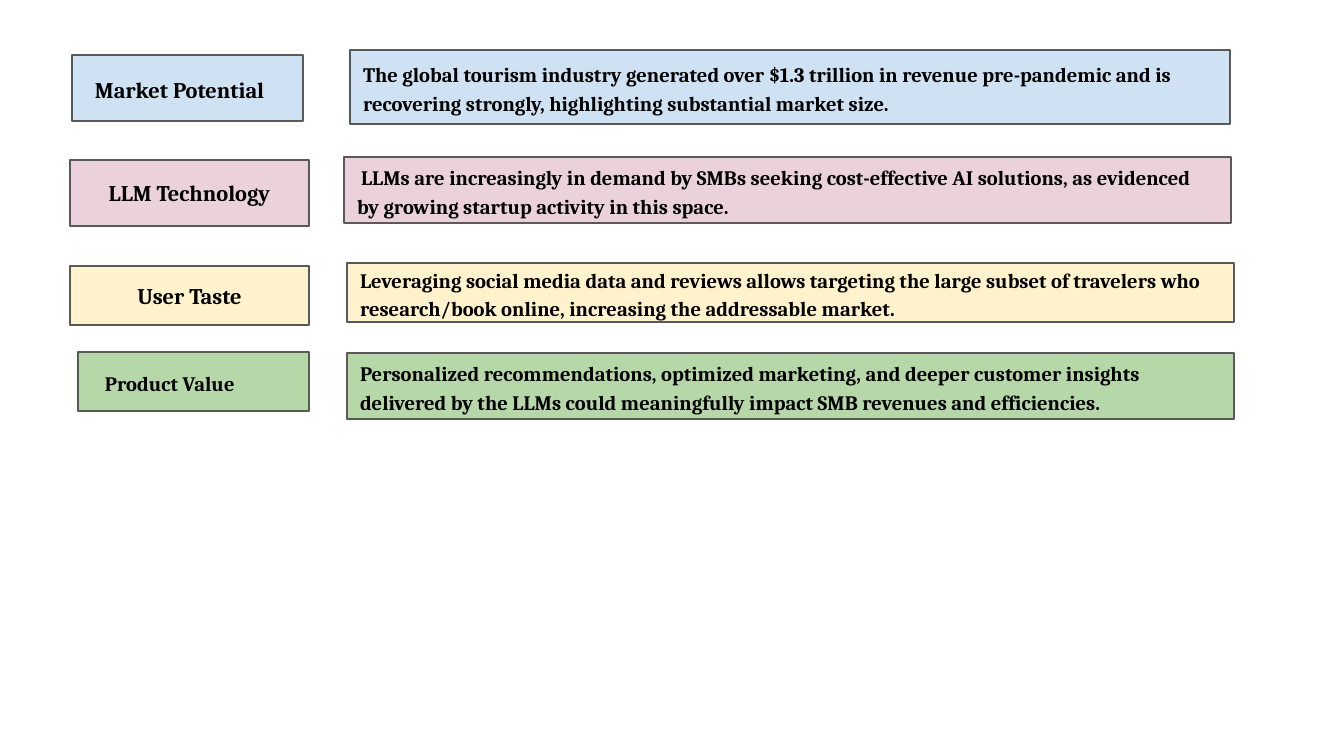
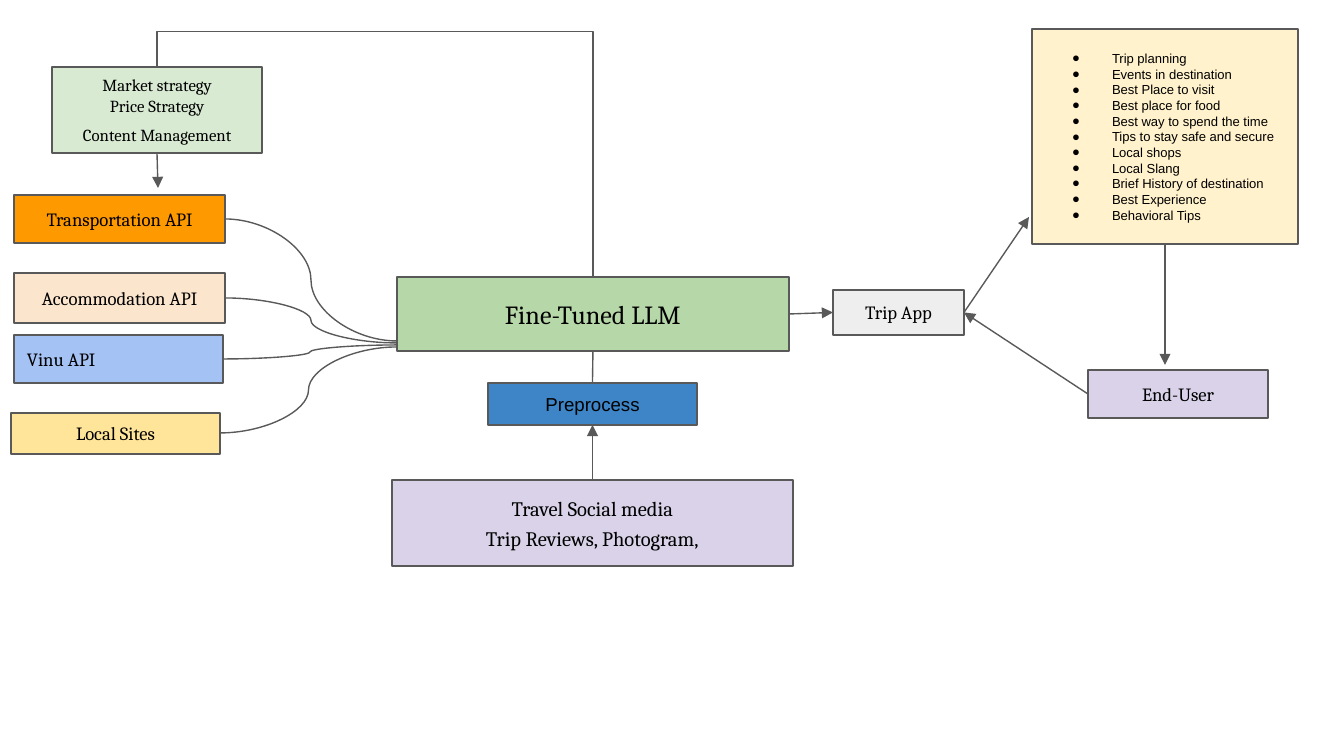
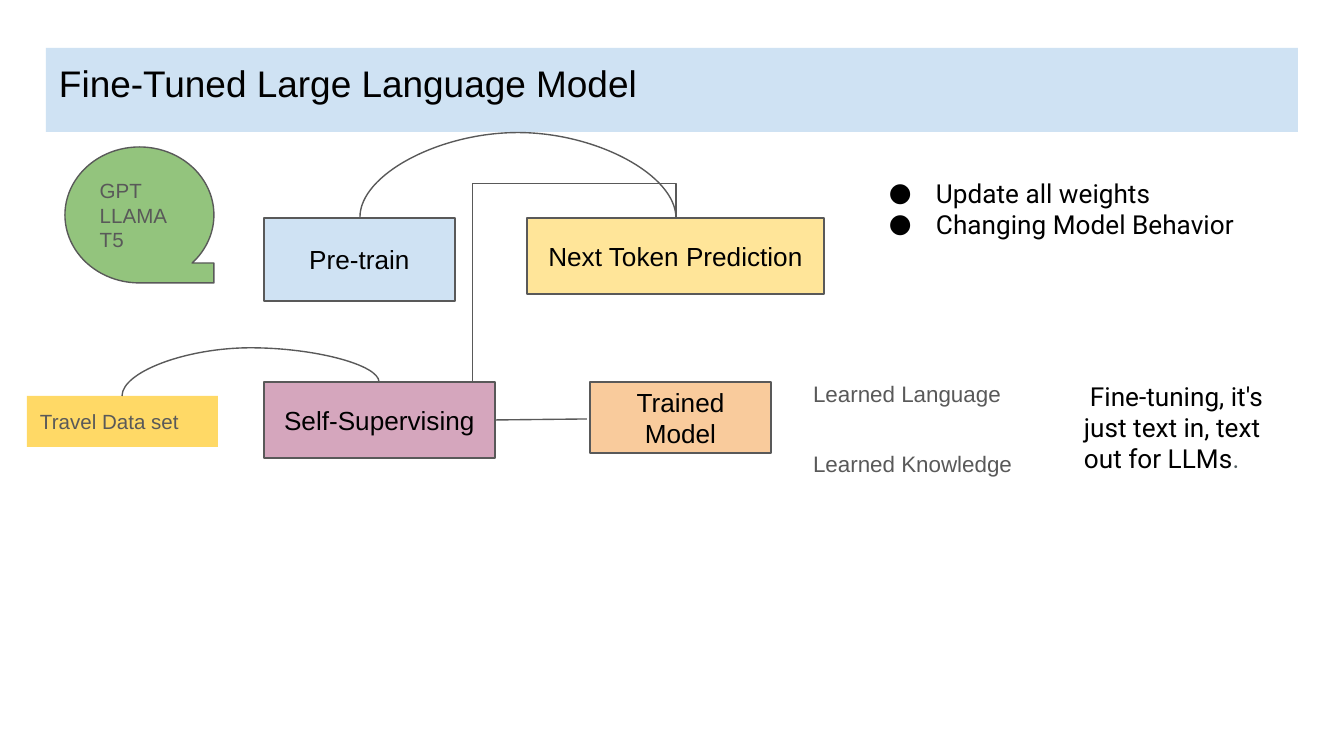
from lxml import etree
from pptx import Presentation
from pptx.dml.color import RGBColor
from pptx.enum import shapes, text
from pptx.oxml import ns
from pptx.util import Pt

PX = 9144000 / 1344  # EMU in one px
WIDTH, HEIGHT = 1344, 756
INSET = 13
TITLE_ONLY, BLANK = 5, 6
TOP, LEFT, BOTTOM, RIGHT = range(4)

BLACK = RGBColor(0x00, 0x00, 0x00)
GRAY = RGBColor(0x59, 0x59, 0x59)
SLATE = RGBColor(0x51, 0x5E, 0x61)
SILVER = RGBColor(0xEE, 0xEE, 0xEE)
SKY = RGBColor(0xCF, 0xE2, 0xF3)
PINK = RGBColor(0xEA, 0xD1, 0xDC)
MAUVE = RGBColor(0xD5, 0xA6, 0xBD)
CREAM = RGBColor(0xFF, 0xF2, 0xCC)
YELLOW = RGBColor(0xFF, 0xE5, 0x99)
GOLD = RGBColor(0xFF, 0xD9, 0x66)
ORANGE = RGBColor(0xFF, 0x99, 0x00)
PEACH = RGBColor(0xFC, 0xE5, 0xCD)
APRICOT = RGBColor(0xF9, 0xCB, 0x9C)
BLUE = RGBColor(0x3D, 0x85, 0xC6)
PERIWINKLE = RGBColor(0xA4, 0xC2, 0xF4)
LAVENDER = RGBColor(0xD9, 0xD2, 0xE9)
MINT = RGBColor(0xD9, 0xEA, 0xD3)
SAGE = RGBColor(0xB6, 0xD7, 0xA8)
GREEN = RGBColor(0x93, 0xC4, 0x7D)

SERIF, SANS, ROBOTO, INTER = "Cambria", "Arial", "Roboto", "Inter"
START, CENTER = text.PP_ALIGN.LEFT, text.PP_ALIGN.CENTER
MIDDLE, UPPER = text.MSO_ANCHOR.MIDDLE, text.MSO_ANCHOR.TOP
STRAIGHT = shapes.MSO_CONNECTOR.STRAIGHT
ELBOW = shapes.MSO_CONNECTOR.ELBOW
CURVE = shapes.MSO_CONNECTOR.CURVE


def emu(*lengths):
    return [round(length * PX) for length in lengths]


def shifted(box, x, y, width, height):
    """Place a part relative to the top left corner of a box."""
    return box[0] + x, box[1] + y, width, height


def set_all(target, values):
    for name, value in values.items():
        setattr(target, name, value)


def add_span(para, words, size, font, color, bold=False):
    span = para.add_run()
    span.text = words
    set_all(span.font, {"size": Pt(size), "name": font, "bold": bold})
    span.font.color.rgb = color


def indent(para, margin, first, bullet_font=None):
    margin, first = emu(margin, first)
    props = para._p.get_or_add_pPr()
    props.set("marL", str(margin))
    props.set("indent", str(first))
    if bullet_font:
        color = etree.SubElement(props, ns.qn("a:buClr"))
        etree.SubElement(color, ns.qn("a:srgbClr"), val=str(BLACK))
        etree.SubElement(props, ns.qn("a:buFont"), typeface=bullet_font)
        etree.SubElement(props, ns.qn("a:buChar"), char="●")


def write(shape, lines, size, font=SANS, color=BLACK, bold=False, align=CENTER,
          anchor=MIDDLE, pad=0, first=0, bullet=None, spacing=None, last_gap=0):
    """Fill a shape; bullet is the hanging depth of a list, pad extra left inset."""
    frame = shape.text_frame
    inset, left = emu(INSET, INSET + pad)
    set_all(frame, {"word_wrap": True, "auto_size": text.MSO_AUTO_SIZE.NONE,
                    "vertical_anchor": anchor, "margin_left": left, "margin_right": inset,
                    "margin_top": inset, "margin_bottom": inset})
    for number, words in enumerate(lines):
        para = frame.add_paragraph() if number else frame.paragraphs[0]
        if bullet:
            indent(para, 67, -bullet, bullet_font=font)
        elif first:
            indent(para, 0, first)
        para.alignment = align
        if spacing:
            para.line_spacing = spacing
        if last_gap and number == len(lines) - 1:
            para.space_before = Pt(last_gap)
        add_span(para, words, size, font, color, bold)


def add_box(page, box, fill, lines, size, outline=True,
            preset=shapes.MSO_SHAPE.RECTANGLE, **style):
    shape = page.shapes.add_shape(preset, *emu(*box))
    shape.shadow.inherit = False
    shape.fill.solid()
    shape.fill.fore_color.rgb = fill
    if outline:
        shape.line.color.rgb = GRAY
        shape.line.width = Pt(0.75)
    else:
        shape.line.fill.background()
    write(shape, lines, size, **style)
    return shape


def add_note(page, box, lines, size, **style):
    note = page.shapes.add_textbox(*emu(*box))
    write(note, lines, size, align=START, anchor=UPPER, **style)
    return note


def add_link(page, start, end, kind=STRAIGHT, arrow=False, turn=0, preset=None, bends=()):
    """Link two ends, each a point or a (shape, side) pair; turn is 0, 90 or 270 degrees."""
    start_free, end_free = [isinstance(stop[0], (int, float)) for stop in (start, end)]
    begin_point = start if start_free else (0, 0)
    end_point = end if end_free else (0, 0)
    if turn:
        sign = 1 if turn == 90 else -1
        mid_x, mid_y = [(a + b) / 2 for a, b in zip(start, end)]
        begin_point, end_point = [(mid_x + sign * (y - mid_y), mid_y - sign * (x - mid_x))
                                  for x, y in (start, end)]
    link = page.shapes.add_connector(kind, *emu(*begin_point, *end_point))
    if not start_free:
        link.begin_connect(*start)
    if not end_free:
        link.end_connect(*end)
    if turn:
        link.rotation = turn
    link.line.color.rgb = GRAY
    link.line.width = Pt(0.75)
    props = link._element.spPr
    if arrow:
        etree.SubElement(link.line._get_or_add_ln(), ns.qn("a:tailEnd"), type="triangle")
    etree.SubElement(props, ns.qn("a:effectLst"))
    geometry = props.find(ns.qn("a:prstGeom"))
    if preset:
        geometry.set("prst", preset)
    if bends:
        guides = geometry.find(ns.qn("a:avLst"))
        if guides is None:
            guides = etree.SubElement(geometry, ns.qn("a:avLst"))
        for number, bend in enumerate(bends, 1):
            etree.SubElement(guides, ns.qn("a:gd"), name=f"adj{number}",
                             fmla=f"val {round(bend * 100000)}")
    return link


def build_claims(page):
    rows = [
        (SKY, (72, 55, 231, 66), "Market Potential", 12,
         {"align": START, "pad": 10, "spacing": 1.15},
         (350, 50, 880, 74), 0,
         "The global tourism industry generated over $1.3 trillion in revenue pre-pandemic "
         "and is recovering strongly, highlighting substantial market size."),
        (PINK, (70, 160, 239, 66), "LLM Technology", 12, {},
         (344, 157, 887, 66), 4,
         "LLMs are increasingly in demand by SMBs seeking cost-effective AI solutions, "
         "as evidenced by growing startup activity in this space."),
        (CREAM, (70, 266, 239, 59), "User Taste", 12, {},
         (347, 263, 887, 59), 0,
         "Leveraging social media data and reviews allows targeting the large subset of "
         "travelers who research/book online, increasing the addressable market."),
        (SAGE, (78, 352, 231, 59), "Product Value", 11,
         {"align": START, "pad": 14, "spacing": 1.15},
         (347, 353, 887, 66), 0,
         "Personalized recommendations, optimized marketing, and deeper customer insights "
         "delivered by the LLMs could meaningfully impact SMB revenues and efficiencies."),
    ]
    for fill, label_box, label, size, style, claim_box, first, claim in rows:
        add_box(page, claim_box, fill, [claim], 11, font=SERIF, bold=True,
                align=START, first=first, spacing=1.15)
        add_box(page, label_box, fill, [label], size, font=SERIF, bold=True, **style)


def build_sources(page, box, hub_left):
    """Stack the data sources and curve each one into the hub's left side."""
    sources = [
        (ORANGE, (3, 0, 211, 48), "Transportation API", CENTER),
        (PEACH, (3, 78, 211, 50), "Accommodation API", CENTER),
        (PERIWINKLE, (3, 140, 209, 48), "Vinu API", START),
        (YELLOW, (0, 218, 209, 41), "Local Sites", CENTER),
    ]
    for number, (fill, part, name, align) in enumerate(sources):
        x, y, width, height = shifted(box, *part)
        add_box(page, (x, y, width, height), fill, [name], 10, font=SERIF, align=align)
        add_link(page, (x + width, y + height // 2), (hub_left, 341 + 2 * number), CURVE)


def build_hub(page, box):
    """Stack the model, its preprocessing and its social media input."""
    model = add_box(page, shifted(box, 5, 0, 392, 74), SAGE, ["Fine-Tuned LLM"], 14, font=SERIF)
    preprocess = add_box(page, shifted(box, 96, 106, 209, 42), BLUE, ["Preprocess"], 10)
    social = add_box(page, shifted(box, 0, 203, 401, 86), LAVENDER,
                     ["Travel Social media", "Trip Reviews, Photogram,"], 11,
                     font=SERIF, last_gap=3)
    add_link(page, (social, TOP), (preprocess, BOTTOM), arrow=True)
    add_link(page, (preprocess, TOP), (model, BOTTOM))
    return model


def build_strategy(page, box, model_top):
    strategy = add_box(page, box, MINT,
                       ["Market strategy", "Price Strategy", "Content Management"], 9,
                       font=SERIF, last_gap=5)
    middle = box[0] + box[2] // 2
    add_link(page, model_top, (middle, box[1]), ELBOW, turn=90, bends=[1.17])
    add_link(page, (strategy, BOTTOM), (middle + 1, 188), arrow=True)


def build_audience(page, box, model):
    """Lay out the app, the topics it answers and the user around them."""
    app = add_box(page, shifted(box, 0, 261, 131, 45), SILVER, ["Trip App"], 10, font=SERIF)
    user = add_box(page, shifted(box, 255, 341, 180, 48), LAVENDER, ["End-User"], 10, font=SERIF)
    topics = add_box(page, shifted(box, 199, 0, 266, 215), CREAM, [
        "Trip planning", "Events in destination", "Best Place to visit",
        "Best place for food", "Best way to spend the time",
        "Tips to stay safe and secure", "Local shops", "Local Slang",
        "Brief History of destination", "Best Experience", "Behavioral Tips",
    ], 7, align=START, bullet=40)
    x, y = box[:2]
    add_link(page, (model, RIGHT), (app, LEFT), arrow=True)
    add_link(page, (user, LEFT), (app, RIGHT), arrow=True)
    add_link(page, (app, RIGHT), (x + 196, y + 188), arrow=True)
    add_link(page, (topics, BOTTOM), (x + 332, y + 336), arrow=True)


def build_architecture(page):
    model = build_hub(page, (392, 277, 401, 289))
    build_sources(page, (11, 195, 214, 259), 397)
    build_strategy(page, (52, 67, 210, 86), (593, 277))
    build_audience(page, (833, 29, 465, 389), model)


def build_title(page, box, words):
    title = page.shapes.title
    set_all(title, dict(zip(("left", "top", "width", "height"), emu(*box))))
    title.fill.solid()
    title.fill.fore_color.rgb = SKY
    write(title, [words], 19.8, align=START, anchor=UPPER)


def build_training_flow(page, box):
    add_box(page, shifted(box, 237, 71, 191, 83), SKY, ["Pre-train"], 14)
    add_box(page, shifted(box, 500, 71, 297, 76), YELLOW, ["Next Token Prediction"], 14)
    supervising = add_box(page, shifted(box, 237, 235, 231, 76), MAUVE, ["Self-Supervising"], 14)
    add_box(page, shifted(box, 563, 235, 181, 71), APRICOT, ["Trained Model"], 14)
    add_box(page, shifted(box, 0, 249, 191, 51), GOLD, ["Travel Data set"], 11, outline=False,
            color=GRAY, align=START, anchor=UPPER)
    add_box(page, shifted(box, 38, 0, 149, 136), GREEN, ["GPT", "LLAMA", "T5"], 11,
            preset=shapes.MSO_SHAPE.FLOWCHART_SEQUENTIAL_ACCESS_STORAGE,
            color=GRAY, align=START)
    x, y = box[:2]
    add_link(page, (x + 286, y + 235), (x + 649, y + 71), ELBOW,
             preset="bentConnector4", bends=[0.44, 1.21])
    add_link(page, (supervising, RIGHT), (x + 560, y + 272))
    add_link(page, (x + 333, y + 70), (x + 649, y + 71), CURVE, turn=270, bends=[-84])
    add_link(page, (x + 95, y + 249), (x + 352, y + 235), CURVE, turn=270, bends=[3.44])


def build_remarks(page, box):
    add_note(page, shifted(box, 0, 203, 437, 44), ["Learned Language"], 12, color=GRAY)
    add_note(page, shifted(box, 0, 273, 288, 51), ["Learned Knowledge"], 12, color=GRAY)
    summary = add_note(page, shifted(box, 271, 203, 231, 136),
                       ["Fine-tuning, it's just text in, text out for LLMs"], 14,
                       font=ROBOTO, first=6)
    add_span(summary.text_frame.paragraphs[0], ".", 12, INTER, SLATE)
    add_note(page, shifted(box, 56, 0, 480, 65),
             ["Update all weights", "Changing Model Behavior"], 14, font=ROBOTO, bullet=47)


def build_training(page):
    build_title(page, (46, 48, 1252, 84), "Fine-Tuned Large Language Model")
    build_training_flow(page, (27, 147, 797, 311))
    build_remarks(page, (800, 164, 502, 339))


def main():
    deck = Presentation()
    deck.slide_width, deck.slide_height = emu(WIDTH, HEIGHT)
    for layout, build in ((BLANK, build_claims), (BLANK, build_architecture),
                          (TITLE_ONLY, build_training)):
        build(deck.slides.add_slide(deck.slide_layouts[layout]))
    deck.save("out.pptx")


if __name__ == "__main__":
    main()
